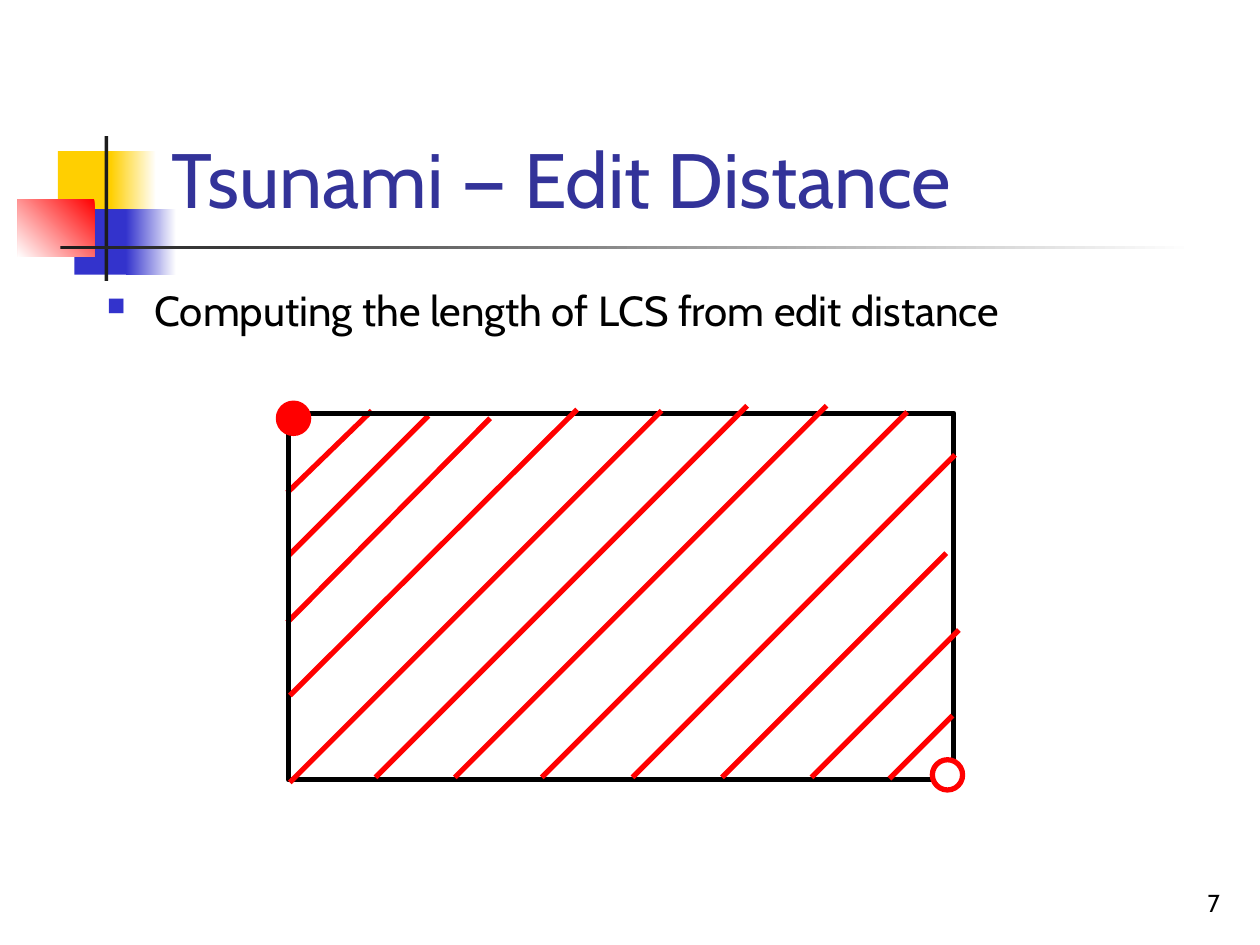
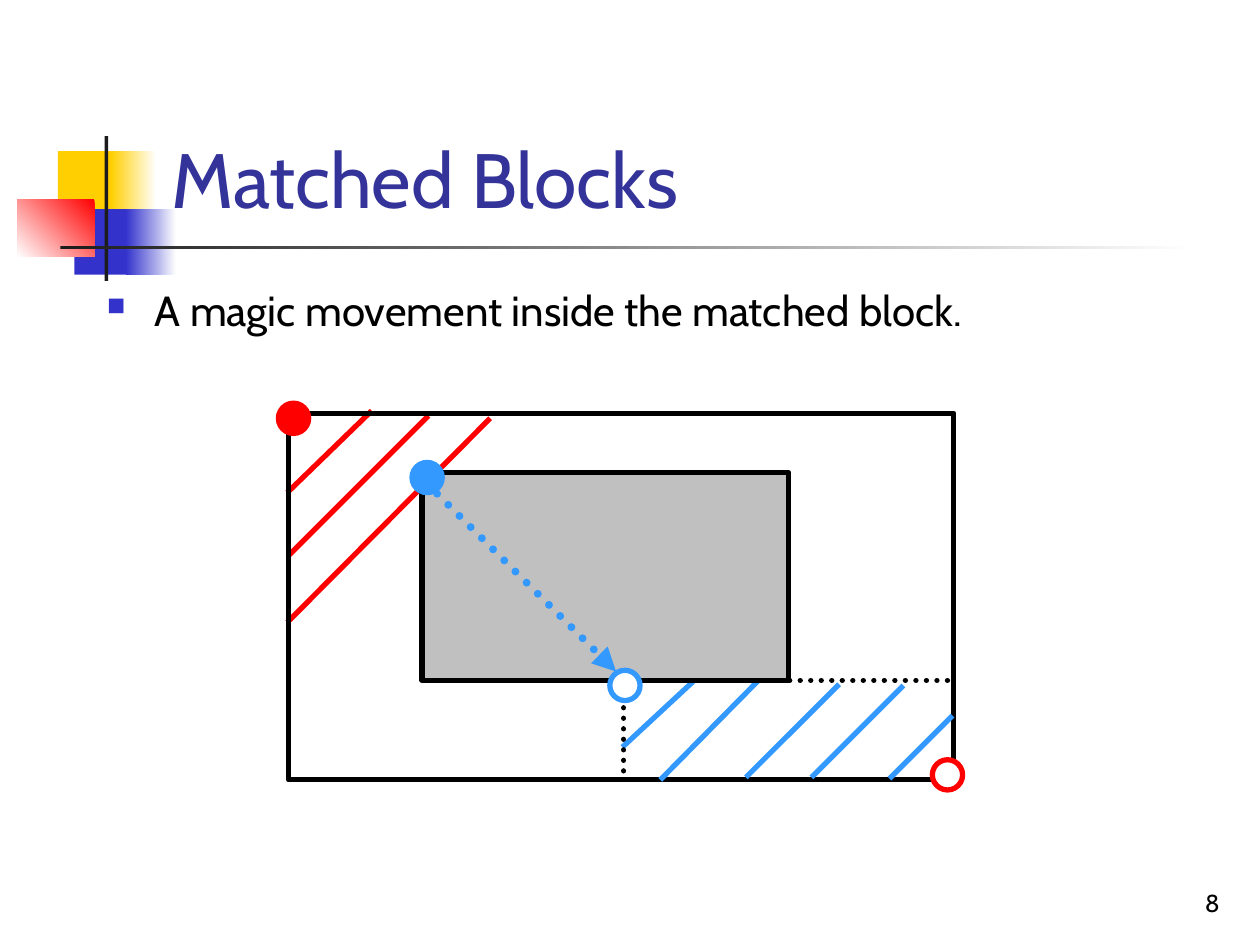
from lxml.etree import SubElement
from pptx import Presentation
from pptx.dml.color import RGBColor
from pptx.enum.dml import MSO_LINE
from pptx.enum.shapes import MSO_CONNECTOR, MSO_SHAPE
from pptx.enum.text import MSO_ANCHOR as ANCHOR, PP_ALIGN as ALIGN
from pptx.oxml.ns import qn
from pptx.util import Inches, Pt

BLACK, CHARCOAL, WHITE, GRAY = "000000", "1C1C1C", "FFFFFF", "C0C0C0"
RED, YELLOW, INDIGO, NAVY, SKY = "FF0000", "FFCF01", "3333CC", "333399", "3399FF"
RECT, OVAL = MSO_SHAPE.RECTANGLE, MSO_SHAPE.OVAL
DOT = 0.24
rgb = RGBColor.from_string


def add_figure(slide, kind, box, fill=None, line=None, fade=None):
    """Add a preset shape; fade is the gradient angle and end colour."""
    figure = slide.shapes.add_shape(kind, *map(Inches, box))
    figure.shadow.inherit = False
    if fade:
        angle, end = fade
        figure.fill.gradient()
        figure.fill.gradient_angle = angle
        for stop, color in zip(figure.fill.gradient_stops, (fill, end)):
            stop.color.rgb = rgb(color)
    elif fill:
        figure.fill.solid()
        figure.fill.fore_color.rgb = rgb(fill)
    else:
        figure.fill.background()
    if line:
        figure.line.color.rgb = rgb(line)
        figure.line.width = Pt(3)
    else:
        figure.line.fill.background()


def add_stroke(slide, ends, color, width=3, dotted=False, arrow=False):
    """Add a straight line between two points."""
    stroke = slide.shapes.add_connector(MSO_CONNECTOR.STRAIGHT, *map(Inches, ends))
    stroke.line.color.rgb = rgb(color)
    stroke.line.width = Pt(width)
    outline = stroke.line._get_or_add_ln()
    if dotted:
        stroke.line.dash_style = MSO_LINE.ROUND_DOT
        outline.set("cap", "rnd")
    if arrow:
        SubElement(outline, qn("a:tailEnd"), type="triangle")
    SubElement(stroke._element.spPr, qn("a:effectLst"))


# Shared decoration: box, colour, fade
decoration = [
    ((0.46, 1.2, 0.48, 0.52), YELLOW, None),
    ((0.88, 1.2, 0.36, 0.52), YELLOW, (0, WHITE)),
    ((0.59, 1.66, 0.46, 0.52), INDIGO, None),
    ((1, 1.66, 0.4, 0.52), INDIGO, (0, WHITE)),
    ((0.14, 1.58, 0.61, 0.46), RED, (225, WHITE)),
    ((0.83, 1.08, 0.03, 1.15), CHARCOAL, None),
    ((0.48, 1.95, 9, 0.03), CHARCOAL, (0, WHITE)),
]

# Diagonals as x1, y1, x2, y2
corner_diagonals = [
    (2.29, 4.41, 3.4, 3.3), (2.28, 4.94, 3.89, 3.32), (2.28, 3.91, 2.95, 3.26),
]
remaining_diagonals = [
    (2.3, 5.52, 4.58, 3.25), (2.3, 6.21, 5.25, 3.26), (2.98, 6.17, 5.93, 3.22),
    (3.61, 6.17, 6.56, 3.22), (4.3, 6.17, 7.2, 3.27), (5.02, 6.17, 7.58, 3.61),
    (5.73, 6.17, 7.51, 4.39), (6.44, 6.17, 7.61, 5), (7.06, 6.18, 7.56, 5.68),
]
diagonals_after_block = [
    (4.94, 5.93, 5.5, 5.41), (5.24, 6.19, 6.02, 5.4), (5.92, 6.17, 6.66, 5.43),
    (6.44, 6.17, 7.17, 5.44), (7.06, 6.18, 7.56, 5.68),
]

pages = [
    ("Tsunami — Edit Distance", "Computing the length of LCS from edit distance",
     7, RED, remaining_diagonals),
    ("Matched Blocks", "A magic movement inside the matched block.",
     8, SKY, diagonals_after_block),
]

deck = Presentation()
deck.slide_width, deck.slide_height = Inches(10), Inches(7.5)

for title, point, number, wave_color, wave in pages:
    slide = deck.slides.add_slide(deck.slide_layouts[6])
    for box, color, fade in decoration:
        add_figure(slide, RECT, box, color, fade=fade)

    # Title, bullet point and page number
    for text, box, size, color, anchor, align in [
        (title, (1.26, 0.23, 8.15, 1.6), 44, NAVY, ANCHOR.BOTTOM, ALIGN.LEFT),
        (point, (0.75, 2.21, 8.66, 4.5), 24, BLACK, ANCHOR.TOP, ALIGN.LEFT),
        (str(number), (7.7, 6.83, 2.08, 0.5), 14, BLACK, ANCHOR.BOTTOM, ALIGN.RIGHT),
    ]:
        frame = slide.shapes.add_textbox(*map(Inches, box)).text_frame
        frame.word_wrap = True
        frame.vertical_anchor = anchor
        frame.text = text
        paragraph = frame.paragraphs[0]
        paragraph.alignment = align
        if text == point:
            props = paragraph._p.get_or_add_pPr()
            props.set("marL", str(Inches(0.38)))
            props.set("indent", str(-Inches(0.38)))
            bullet_color = SubElement(props, qn("a:buClr"))
            SubElement(bullet_color, qn("a:srgbClr"), val=INDIGO)
            SubElement(props, qn("a:buSzPct"), val="60000")
            SubElement(props, qn("a:buChar"), char="■")
        font = paragraph.runs[0].font
        font.name, font.size = "Cabin", Pt(size)
        font.color.rgb = rgb(color)

    # Edit grid with its start and goal
    for ends in corner_diagonals:
        add_stroke(slide, ends, RED)
    add_figure(slide, RECT, (2.29, 3.28, 5.28, 2.91), line=BLACK)
    add_figure(slide, OVAL, (2.21, 3.2, DOT, DOT), RED, RED)
    add_figure(slide, OVAL, (7.4, 6.03, DOT, DOT), WHITE, RED)
    for ends in wave:
        add_stroke(slide, ends, wave_color)

# Matched block and the jump through it, on the last slide
add_figure(slide, RECT, (3.35, 3.75, 2.91, 1.65), GRAY, BLACK)
add_stroke(slide, (4.95, 5.45, 4.95, 6.16), BLACK, dotted=True)
add_stroke(slide, (7.52, 5.4, 5, 5.4), BLACK, dotted=True)
add_figure(slide, OVAL, (3.27, 3.67, DOT, DOT), SKY, SKY)
add_stroke(slide, (3.38, 3.83, 4.89, 5.33), SKY, 4.5, dotted=True, arrow=True)
add_figure(slide, OVAL, (4.84, 5.32, DOT, DOT), WHITE, SKY)

deck.save("out.pptx")
